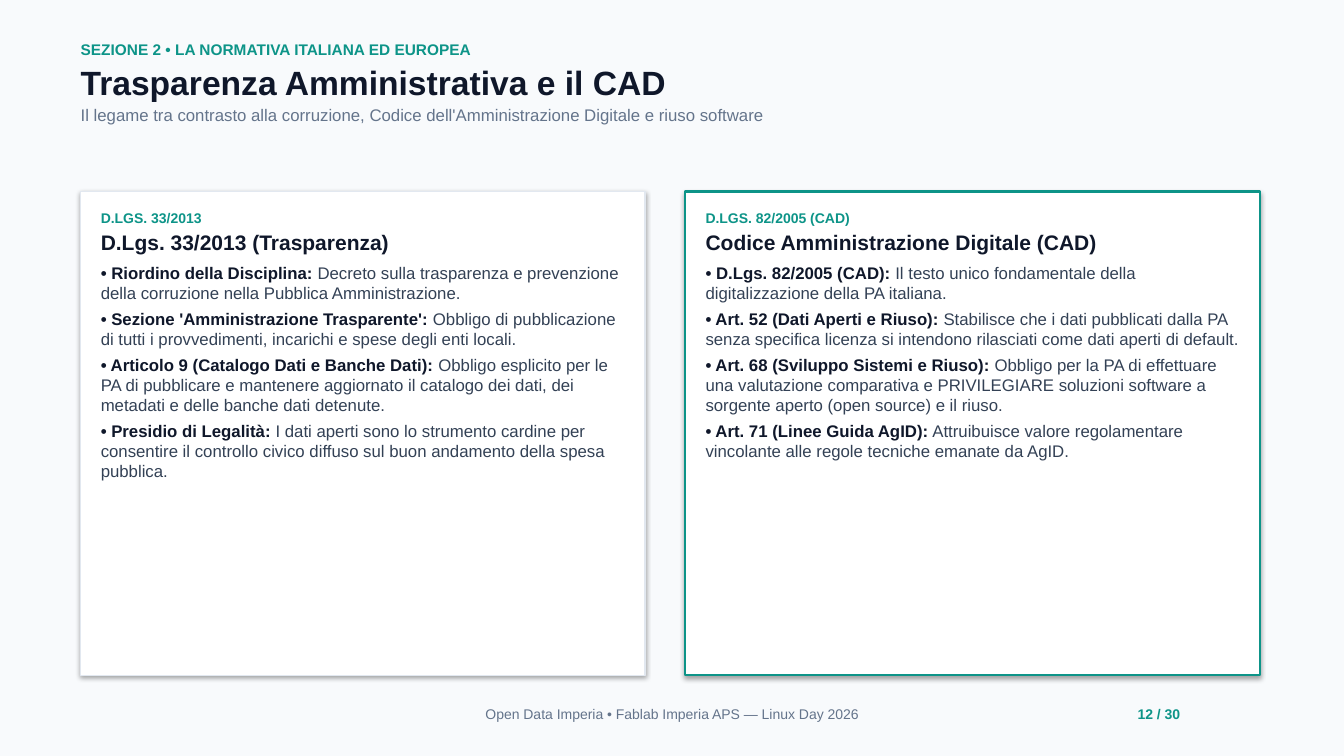
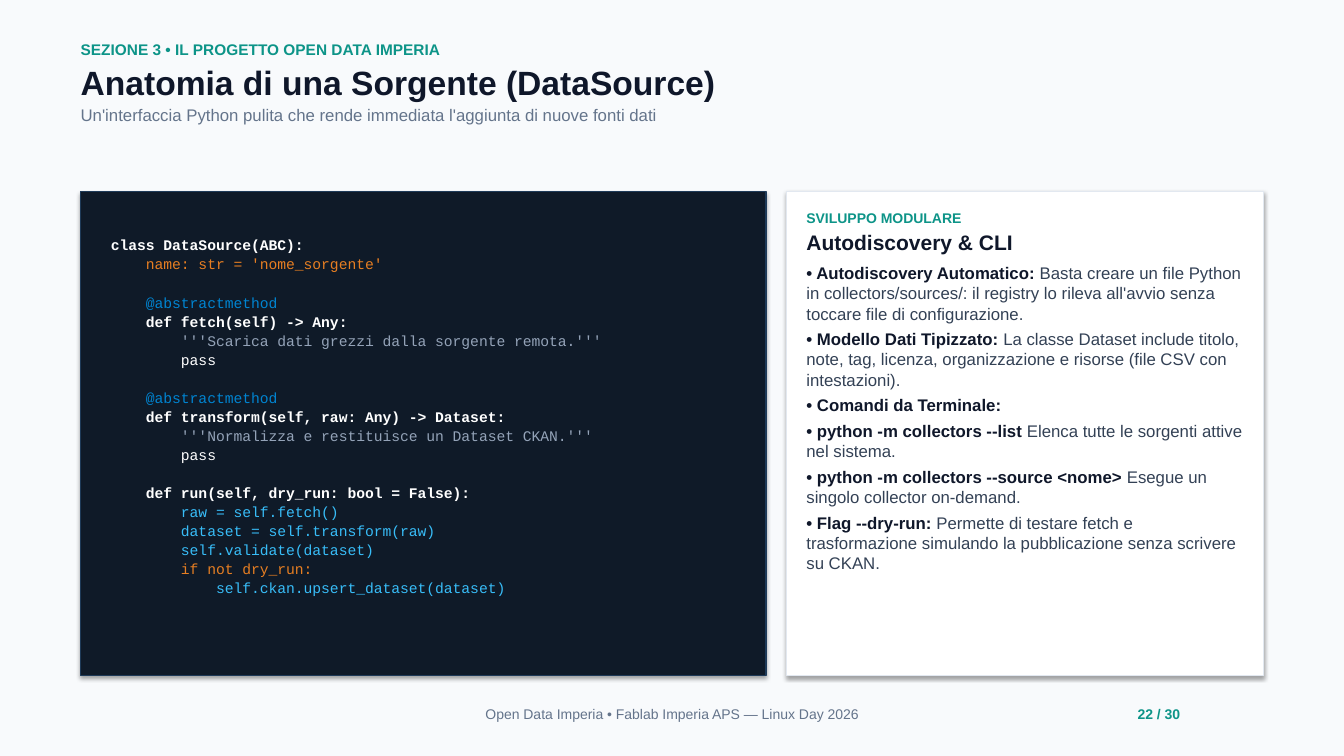
from dataclasses import dataclass

from pptx import Presentation
from pptx.dml.color import RGBColor
from pptx.enum.shapes import MSO_SHAPE
from pptx.enum.text import MSO_ANCHOR, PP_ALIGN
from pptx.util import Pt


@dataclass(frozen=True)
class Theme:
    background: str = "F8FAFC"
    white: str = "FFFFFF"
    accent: str = "0D9488"
    ink: str = "0F172A"
    body: str = "334155"
    muted: str = "64748B"
    border: str = "E2E8F0"
    code_panel: str = "0F1A28"
    code_border: str = "1E3A58"
    code_field: str = "E67E22"
    code_decorator: str = "0084D1"
    code_docstring: str = "94A3B8"
    code_call: str = "38BDF8"
    font: str = "Arial"
    code_font: str = "Courier New"
    title_size: float = 24
    heading_size: float = 15
    text_size: float = 12
    section_size: float = 11
    code_size: float = 10.5
    small_size: float = 10


THEME = Theme()
PAGE_WIDTH, PAGE_HEIGHT = 960, 540
MARGIN = 57.6
CONTENT_WIDTH = PAGE_WIDTH - 2 * MARGIN
PANEL_TOP, PANEL_HEIGHT = 136.8, 345.6
CODE_BLANK_LINE = 13.6
PAGE_COUNT = 30

TRANSPARENCY_POINTS = [
    ("Riordino della Disciplina:", "Decreto sulla trasparenza e prevenzione della corruzione "
     "nella Pubblica Amministrazione."),
    ("Sezione 'Amministrazione Trasparente':", "Obbligo di pubblicazione di tutti i "
     "provvedimenti, incarichi e spese degli enti locali."),
    ("Articolo 9 (Catalogo Dati e Banche Dati):", "Obbligo esplicito per le PA di pubblicare e "
     "mantenere aggiornato il catalogo dei dati, dei metadati e delle banche dati detenute."),
    ("Presidio di Legalità:", "I dati aperti sono lo strumento cardine per consentire il "
     "controllo civico diffuso sul buon andamento della spesa pubblica."),
]
CAD_POINTS = [
    ("D.Lgs. 82/2005 (CAD):", "Il testo unico fondamentale della digitalizzazione della PA "
     "italiana."),
    ("Art. 52 (Dati Aperti e Riuso):", "Stabilisce che i dati pubblicati dalla PA senza "
     "specifica licenza si intendono rilasciati come dati aperti di default."),
    ("Art. 68 (Sviluppo Sistemi e Riuso):", "Obbligo per la PA di effettuare una valutazione "
     "comparativa e PRIVILEGIARE soluzioni software a sorgente aperto (open source) e il riuso."),
    ("Art. 71 (Linee Guida AgID):", "Attruibuisce valore regolamentare vincolante alle regole "
     "tecniche emanate da AgID."),
]
DISCOVERY_POINTS = [
    ("Autodiscovery Automatico:", "Basta creare un file Python in collectors/sources/: il "
     "registry lo rileva all'avvio senza toccare file di configurazione."),
    ("Modello Dati Tipizzato:", "La classe Dataset include titolo, note, tag, licenza, "
     "organizzazione e risorse (file CSV con intestazioni)."),
    ("Comandi da Terminale:", ""),
    ("python -m collectors --list", "Elenca tutte le sorgenti attive nel sistema."),
    ("python -m collectors --source <nome>", "Esegue un singolo collector on-demand."),
    ("Flag --dry-run:", "Permette di testare fetch e trasformazione simulando la pubblicazione "
     "senza scrivere su CKAN."),
]
# Groups of (line, colour, bold); a blank line separates the groups.
SOURCE_CODE = [
    [("class DataSource(ABC):", THEME.white, True),
     ("    name: str = 'nome_sorgente'", THEME.code_field, False)],
    [("    @abstractmethod", THEME.code_decorator, False),
     ("    def fetch(self) -> Any:", THEME.white, True),
     ("        '''Scarica dati grezzi dalla sorgente remota.'''", THEME.code_docstring, False),
     ("        pass", THEME.white, False)],
    [("    @abstractmethod", THEME.code_decorator, False),
     ("    def transform(self, raw: Any) -> Dataset:", THEME.white, True),
     ("        '''Normalizza e restituisce un Dataset CKAN.'''", THEME.code_docstring, False),
     ("        pass", THEME.white, False)],
    [("    def run(self, dry_run: bool = False):", THEME.white, True),
     ("        raw = self.fetch()", THEME.code_call, False),
     ("        dataset = self.transform(raw)", THEME.code_call, False),
     ("        self.validate(dataset)", THEME.code_call, False),
     ("        if not dry_run:", THEME.code_field, False),
     ("            self.ckan.upsert_dataset(dataset)", THEME.code_call, False)],
]


def color(value):
    return RGBColor.from_string(value)


def add_span(para, text, size=THEME.text_size, fill=THEME.ink, bold=False, font=THEME.font):
    span = para.add_run()
    span.text = text
    span.font.name = font
    span.font.size = Pt(size)
    span.font.bold = bold
    span.font.color.rgb = color(fill)


def add_para(frame, text, before=0, after=0, align=PP_ALIGN.LEFT, **span_format):
    """Add a paragraph, using the empty first one of a new frame."""
    first = frame.paragraphs[0]
    para = frame.add_paragraph() if first.runs else first
    para.alignment = align
    para.space_before = Pt(before)
    para.space_after = Pt(after)
    add_span(para, text, **span_format)
    return para


def prepare_frame(frame, horizontal=0, top=0):
    frame.word_wrap = True
    frame.vertical_anchor = MSO_ANCHOR.TOP
    frame.margin_left = frame.margin_right = Pt(horizontal)
    frame.margin_top = Pt(top)
    frame.margin_bottom = Pt(0)
    return frame


def add_text_box(page, left, top, width, height):
    box = page.shapes.add_textbox(Pt(left), Pt(top), Pt(width), Pt(height))
    return prepare_frame(box.text_frame)


def add_panel(page, left, width, fill, line, line_width, horizontal, top):
    """Draw a rectangle with the theme's soft shadow and return its text frame."""
    panel = page.shapes.add_shape(
        MSO_SHAPE.RECTANGLE, Pt(left), Pt(PANEL_TOP), Pt(width), Pt(PANEL_HEIGHT))
    panel.fill.solid()
    panel.fill.fore_color.rgb = color(fill)
    panel.line.color.rgb = color(line)
    panel.line.width = Pt(line_width)
    return prepare_frame(panel.text_frame, horizontal, top)


def add_card(page, left, width, tag, heading, points, line=THEME.border, line_width=1):
    frame = add_panel(page, left, width, THEME.white, line, line_width, horizontal=14.4, top=13)
    add_para(frame, tag, after=2, size=THEME.small_size, fill=THEME.accent, bold=True)
    add_para(frame, heading, after=6, size=THEME.heading_size, bold=True)
    for label, detail in points:
        para = add_para(frame, f"• {label}", after=4, bold=True)
        if detail:
            add_span(para, f" {detail}", fill=THEME.body)


def add_code_panel(page, left, width, groups):
    frame = add_panel(page, left, width, THEME.code_panel, THEME.code_border, 0.75,
                      horizontal=21.6, top=32)
    for group_index, group in enumerate(groups):
        for line_index, (text, fill, bold) in enumerate(group):
            opens_group = group_index > 0 and line_index == 0
            add_para(frame, text, before=CODE_BLANK_LINE if opens_group else 0, after=1,
                     size=THEME.code_size, fill=fill, bold=bold, font=THEME.code_font)


def add_page(deck, number, section, title, subtitle):
    """Add a blank page with the shared heading and footer."""
    page = deck.slides.add_slide(deck.slide_layouts[6])
    heading = add_text_box(page, MARGIN, 28.8, CONTENT_WIDTH, 60.5)
    add_para(heading, section, after=2, size=THEME.section_size, fill=THEME.accent, bold=True)
    add_para(heading, title, after=2, size=THEME.title_size, bold=True)
    add_para(heading, subtitle, fill=THEME.muted)

    footer = add_text_box(page, 340, 504, 280, 12)
    add_para(footer, "Open Data Imperia • Fablab Imperia APS — Linux Day 2026",
             align=PP_ALIGN.CENTER, size=THEME.small_size, fill=THEME.muted)
    counter = add_text_box(page, 783, 504, 60, 12)
    add_para(counter, f"{number} / {PAGE_COUNT}", align=PP_ALIGN.RIGHT,
             size=THEME.small_size, fill=THEME.accent, bold=True)
    return page


def add_law_page(deck):
    page = add_page(
        deck, 12, "SEZIONE 2 • LA NORMATIVA ITALIANA ED EUROPEA",
        "Trasparenza Amministrativa e il CAD",
        "Il legame tra contrasto alla corruzione, Codice dell'Amministrazione Digitale "
        "e riuso software")
    add_card(page, MARGIN, 403.2, "D.LGS. 33/2013", "D.Lgs. 33/2013 (Trasparenza)",
             TRANSPARENCY_POINTS)
    add_card(page, 489.6, 410.4, "D.LGS. 82/2005 (CAD)",
             "Codice Amministrazione Digitale (CAD)", CAD_POINTS,
             line=THEME.accent, line_width=1.5)


def add_source_page(deck):
    page = add_page(
        deck, 22, "SEZIONE 3 • IL PROGETTO OPEN DATA IMPERIA",
        "Anatomia di una Sorgente (DataSource)",
        "Un'interfaccia Python pulita che rende immediata l'aggiunta di nuove fonti dati")
    add_code_panel(page, MARGIN, 489.6, SOURCE_CODE)
    add_card(page, 561.6, 340.8, "SVILUPPO MODULARE", "Autodiscovery & CLI", DISCOVERY_POINTS)


def main():
    deck = Presentation()
    deck.slide_width, deck.slide_height = Pt(PAGE_WIDTH), Pt(PAGE_HEIGHT)
    backdrop = deck.slide_master.background.fill
    backdrop.solid()
    backdrop.fore_color.rgb = color(THEME.background)
    add_law_page(deck)
    add_source_page(deck)
    deck.save("out.pptx")


if __name__ == "__main__":
    main()
